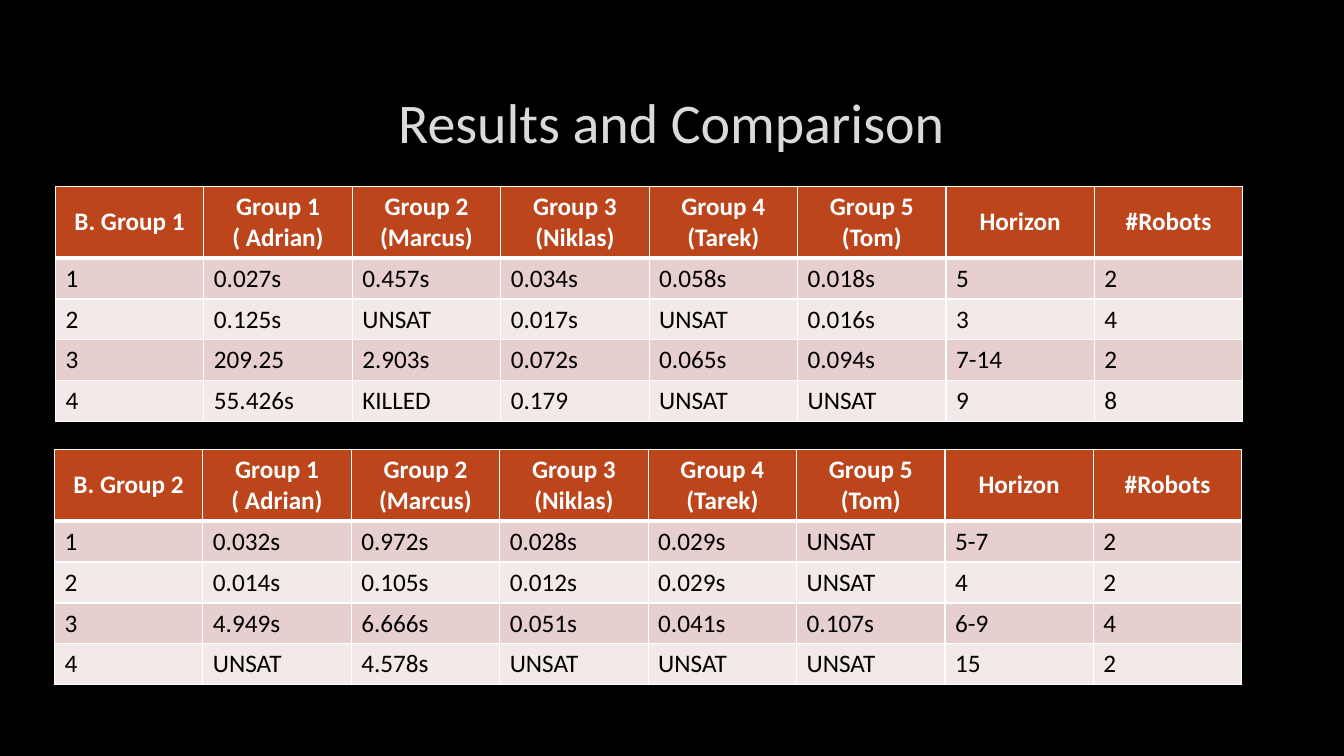
from lxml.etree import SubElement
from pptx import Presentation
from pptx.dml.color import RGBColor
from pptx.enum.text import MSO_ANCHOR, PP_ALIGN
from pptx.oxml import parse_xml
from pptx.oxml.ns import nsdecls, qn
from pptx.util import Pt

BLACK = RGBColor(0x00, 0x00, 0x00)
WHITE = RGBColor(0xFF, 0xFF, 0xFF)
TITLE_GREY = RGBColor(0xDA, 0xDA, 0xDA)
OUTLINE_GREY = RGBColor(0x40, 0x40, 0x40)
RUST = RGBColor(0xBC, 0x45, 0x1B)
BANDS = (RGBColor(0xE7, 0xCF, 0xCD), RGBColor(0xF3, 0xE9, 0xE8))

HEADER_HEIGHT, ROW_HEIGHT = 51, 29.2
COLUMNS = ["Group 1\n( Adrian)", "Group 2\n(Marcus)", "Group 3\n(Niklas)",
           "Group 4\n(Tarek)", "Group 5\n(Tom)", "Horizon", "#Robots"]
FIRST_RESULTS = [
    ["1", "0.027s", "0.457s", "0.034s", "0.058s", "0.018s", "5", "2"],
    ["2", "0.125s", "UNSAT", "0.017s", "UNSAT", "0.016s", "3", "4"],
    ["3", "209.25", "2.903s", "0.072s", "0.065s", "0.094s", "7-14", "2"],
    ["4", "55.426s", "KILLED", "0.179", "UNSAT", "UNSAT", "9", "8"],
]
SECOND_RESULTS = [
    ["1", "0.032s", "0.972s", "0.028s", "0.029s", "UNSAT", "5-7", "2"],
    ["2", "0.014s", "0.105s", "0.012s", "0.029s", "UNSAT", "4", "2"],
    ["3", "4.949s", "6.666s", "0.051s", "0.041s", "0.107s", "6-9", "4"],
    ["4", "UNSAT", "4.578s", "UNSAT", "UNSAT", "UNSAT", "15", "2"],
]


def write_text(frame, text, size=18, color=BLACK, bold=False, align=PP_ALIGN.LEFT):
    """Write one paragraph for each line of the text."""
    frame.text = text
    for para in frame.paragraphs:
        para.alignment = align
        for span in para.runs:
            span.font.name = "Calibri"
            span.font.size = Pt(size)
            span.font.bold = bold
            span.font.color.rgb = color


def outline_text(span, color, width, opacity):
    properties = span.font._element
    line = parse_xml(f'<a:ln {nsdecls("a")} w="{Pt(width)}"/>')
    fill = SubElement(line, qn("a:solidFill"))
    shade = SubElement(fill, qn("a:srgbClr"), val=str(color))
    SubElement(shade, qn("a:alpha"), val=str(opacity * 1000))
    properties.insert(0, line)


def set_borders(cell, top, bottom):
    properties = cell._tc.get_or_add_tcPr()
    widths = {"lnL": 1, "lnR": 1, "lnT": top, "lnB": bottom}
    for position, (side, width) in enumerate(widths.items()):
        border = parse_xml(f'<a:{side} {nsdecls("a")} w="{Pt(width)}"/>')
        fill = SubElement(border, qn("a:solidFill"))
        SubElement(fill, qn("a:srgbClr"), val=str(WHITE))
        properties.insert(position, border)


def add_title(page, text, left, top, width, height):
    title = page.shapes.title
    title.left, title.top = Pt(left), Pt(top)
    title.width, title.height = Pt(width), Pt(height)
    title.text_frame.vertical_anchor = MSO_ANCHOR.MIDDLE
    write_text(title.text_frame, text, size=40, color=TITLE_GREY,
               align=PP_ALIGN.CENTER)
    outline_text(title.text_frame.paragraphs[0].runs[0], OUTLINE_GREY, 0.75, 10)


def add_results(page, name, results, left, top, width):
    rows = [[name] + COLUMNS] + results
    height = HEADER_HEIGHT + ROW_HEIGHT * len(results)
    table = page.shapes.add_table(len(rows), len(rows[0]), Pt(left), Pt(top),
                                  Pt(width), Pt(height)).table
    for column in table.columns:
        column.width = Pt(width / len(rows[0]))
    for index, values in enumerate(rows):
        header = index == 0
        table.rows[index].height = Pt(HEADER_HEIGHT if header else ROW_HEIGHT)
        for cell, value in zip(table.rows[index].cells, values):
            cell.vertical_anchor = MSO_ANCHOR.MIDDLE
            cell.fill.solid()
            cell.fill.fore_color.rgb = RUST if header else BANDS[(index - 1) % 2]
            set_borders(cell, top=3 if index == 1 else 1, bottom=3 if header else 1)
            write_text(cell.text_frame, value, bold=header,
                       color=WHITE if header else BLACK,
                       align=PP_ALIGN.CENTER if header else PP_ALIGN.LEFT)


def add_comparison_page(deck):
    page = deck.slides.add_slide(deck.slide_layouts[5])
    page.background.fill.solid()
    page.background.fill.fore_color.rgb = BLACK
    # Title
    add_title(page, "Results and Comparison", 72, 48.2, 815, 76.3)
    # One table for each benchmark group
    add_results(page, "B. Group 1", FIRST_RESULTS, 39.6, 133.2, 848.2)
    add_results(page, "B. Group 2", SECOND_RESULTS, 38.9, 321.1, 848.2)


def main():
    deck = Presentation()
    deck.slide_width, deck.slide_height = Pt(960), Pt(540)
    add_comparison_page(deck)
    deck.save("out.pptx")


if __name__ == "__main__":
    main()
